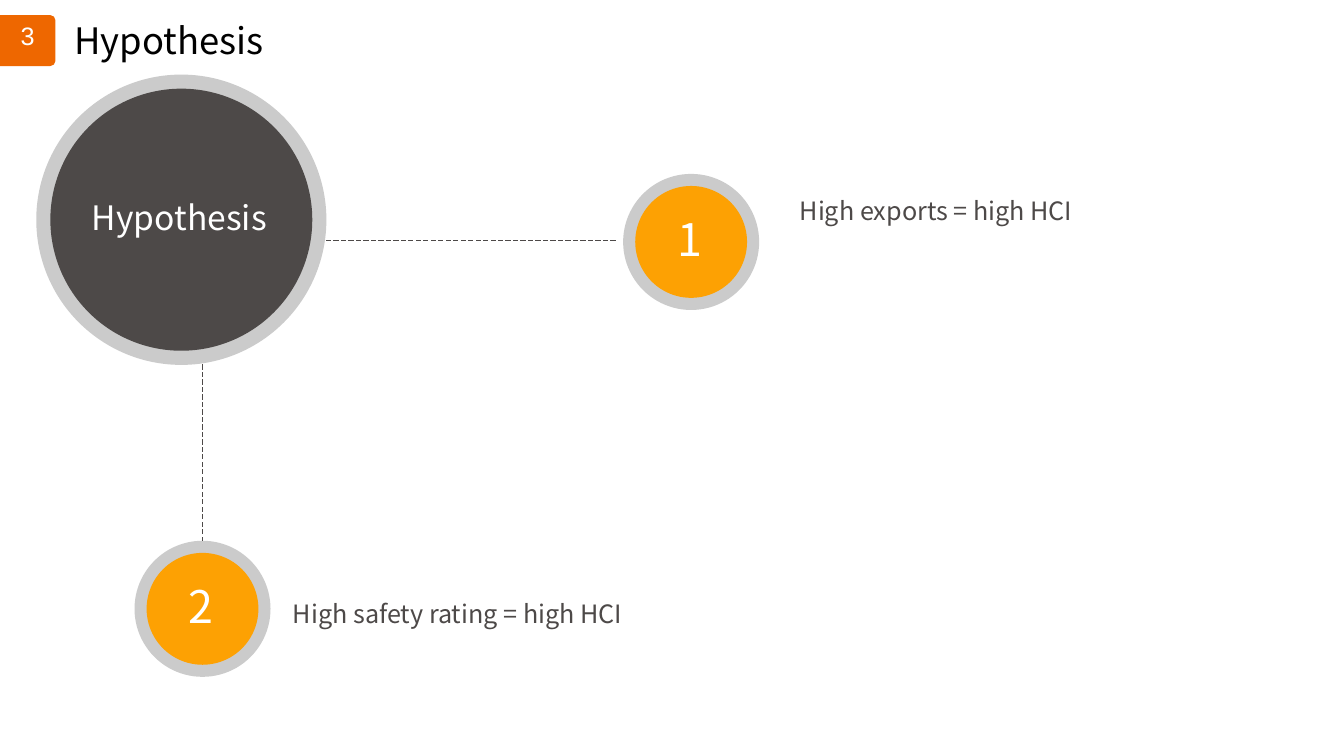
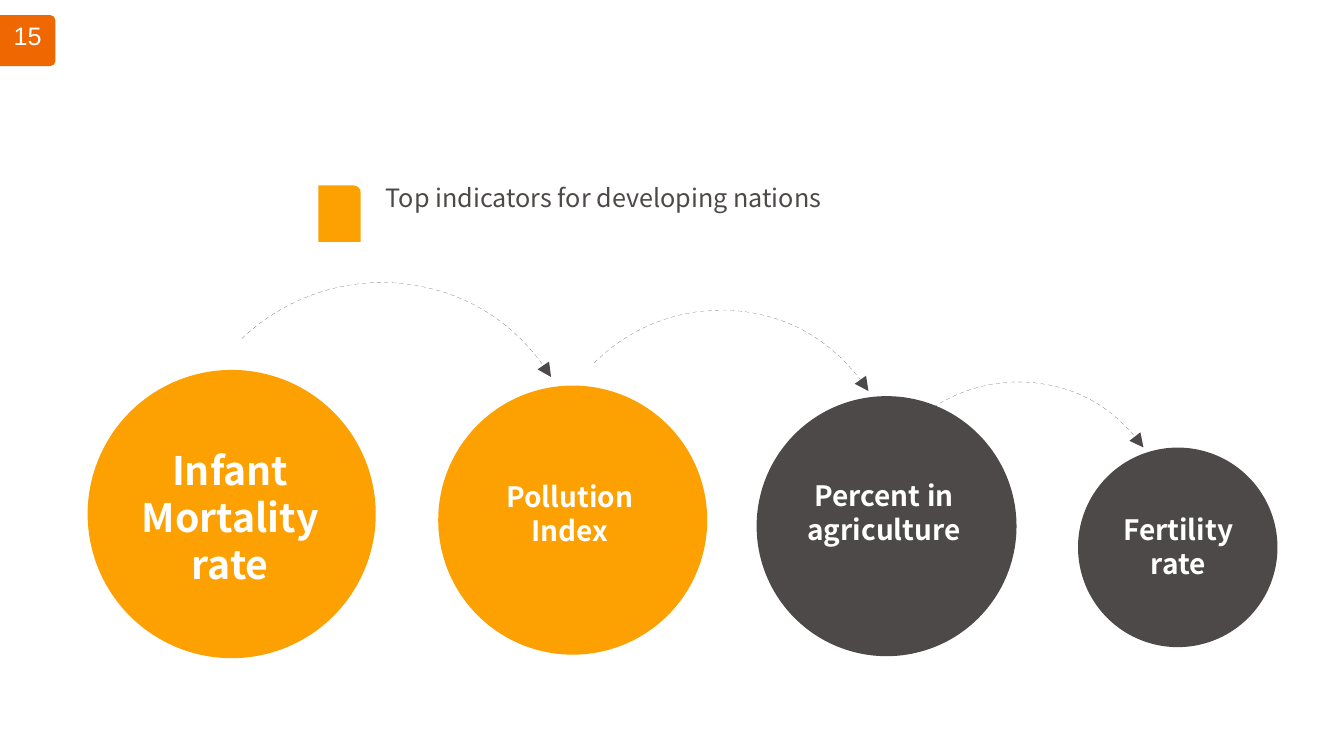
import pptx
import pptx.dml.color
import pptx.enum.dml
import pptx.enum.shapes
import pptx.enum.text
import pptx.oxml.ns
import pptx.util
from lxml import etree

RGBColor = pptx.dml.color.RGBColor
PP_ALIGN = pptx.enum.text.PP_ALIGN
qn = pptx.oxml.ns.qn

WHITE = RGBColor(0xFF, 0xFF, 0xFF)
BLACK = RGBColor(0x00, 0x00, 0x00)
CHARCOAL = RGBColor(0x4D, 0x49, 0x48)
SILVER = RGBColor(0xCB, 0xCB, 0xCB)
AMBER = RGBColor(0xFD, 0xA1, 0x03)
ORANGE = RGBColor(0xEE, 0x67, 0x00)

FONT = "Noto Sans CJK SC"
NUMBER_FONT = "Arial"

# The slide is a grid of square cells; every length below counts cells.
CELL = pptx.util.Inches(0.1)
COLUMNS, ROWS = 133.4, 75


def cells(n):
    return pptx.util.Emu(round(n * CELL))


def write(tf, lines, size, color, align=PP_ALIGN.LEFT, bold=False, font=FONT):
    tf.vertical_anchor = pptx.enum.text.MSO_ANCHOR.TOP
    for i, line in enumerate(lines):
        p = tf.paragraphs[0] if i == 0 else tf.add_paragraph()
        p.text = line
        p.alignment = align
        p.font.name = font
        p.font.size = pptx.util.Pt(size)
        p.font.bold = bold
        p.font.color.rgb = color


def add_text(s, left, top, width, height, lines, size, color, wrap=True, **style):
    sp = s.shapes.add_textbox(*map(cells, (left, top, width, height)))
    tf = sp.text_frame
    tf.word_wrap = wrap
    tf.auto_size = pptx.enum.text.MSO_AUTO_SIZE.SHAPE_TO_FIT_TEXT
    write(tf, lines, size, color, **style)


def add_label(s, cx, top, width, height, lines, size, bold=False):
    """White text centred on the column cx."""
    add_text(s, cx - width / 2, top, width, height, lines, size, WHITE,
             align=PP_ALIGN.CENTER, bold=bold)


def paint(sp, color):
    sp.shadow.inherit = False
    sp.fill.solid()
    sp.fill.fore_color.rgb = color
    sp.line.fill.background()


def add_circle(s, cx, cy, diameter, color):
    sp = s.shapes.add_shape(
        pptx.enum.shapes.MSO_SHAPE.OVAL, cells(cx - diameter / 2),
        cells(cy - diameter / 2), cells(diameter), cells(diameter))
    paint(sp, color)
    return sp


def add_outline(s, start, segments, close):
    """Draw segments of one point (a line) or three points (a Bezier curve)."""
    fb = s.shapes.build_freeform(*map(cells, start))
    fb.add_line_segments(
        [tuple(map(cells, point)) for seg in segments for point in seg], close=close)
    sp = fb.convert_to_shape()
    steps = iter(list(sp._element.iter(qn("a:lnTo"))))
    for seg in segments:
        lines = [next(steps) for _ in seg]
        if len(seg) == 3:
            bezier = etree.Element(qn("a:cubicBezTo"))
            lines[0].addprevious(bezier)
            for line in lines:
                bezier.append(line[0])
                line.getparent().remove(line)
    return sp


def add_tab(s, left, top, right, bottom, radius, color, round_bottom):
    """Block rounded on its upper right corner, and on the lower one if asked."""
    k = radius * 0.45
    segments = [
        [(right - radius, top)],
        [(right - k, top), (right, top + k), (right, top + radius)],
    ]
    if round_bottom:
        segments += [
            [(right, bottom - radius)],
            [(right, bottom - k), (right - k, bottom), (right - radius, bottom)],
        ]
    else:
        segments.append([(right, bottom)])
    segments.append([(left, bottom)])
    sp = add_outline(s, (left, top), segments, True)
    paint(sp, color)
    return sp


def dash(sp, arrow=False):
    """Hairline dashes, with an arrowhead at the end if asked."""
    sp.line.color.rgb = CHARCOAL
    sp.line.dash_style = pptx.enum.dml.MSO_LINE.DASH
    ln = sp._element.spPr.find(qn("a:ln"))
    ln.set("w", "0")
    if arrow:
        etree.SubElement(ln, qn("a:tailEnd"), type="triangle", w="lg", len="lg")


def add_dashed_line(s, x1, y1, x2, y2):
    line = s.shapes.add_connector(
        pptx.enum.shapes.MSO_CONNECTOR.STRAIGHT, *map(cells, (x1, y1, x2, y2)))
    dash(line)
    etree.SubElement(line._element.spPr, qn("a:effectLst"))
    return line


def add_arc_arrow(s, start, *curves):
    sp = add_outline(s, start, curves, False)
    sp.shadow.inherit = False
    sp.fill.background()
    dash(sp, arrow=True)


def add_slide(prs, number, title=None):
    s = prs.slides.add_slide(prs.slide_layouts[6])
    if title:
        add_text(s, 6.4, 1.3, 20.9, 5.4, [title], 26, BLACK, wrap=False)
    badge = add_tab(s, 0, 1.5, 5.5, 6.55, 0.5, ORANGE, True)
    write(badge.text_frame, [str(number)], 18, WHITE,
          align=PP_ALIGN.CENTER, font=NUMBER_FONT)
    return s


def add_numbered_disc(s, cx, cy, number):
    ring = add_circle(s, cx, cy, 13.5, SILVER)
    add_circle(s, cx, cy, 11.1, AMBER)
    add_label(s, cx - 0.15, cy - 3.45, 9.5, 6.4, [str(number)], 32)
    return ring


def hypothesis_slide(prs):
    s = add_slide(prs, 3, "Hypothesis")
    add_circle(s, 18, 21.8, 28.8, SILVER)
    add_circle(s, 18, 21.8, 26, CHARCOAL)
    add_label(s, 17.8, 19, 20, 5, ["Hypothesis"], 24)

    add_dashed_line(s, 32.4, 23.9, 61.2, 23.9)
    add_numbered_disc(s, 68.6, 24, 1)
    add_text(s, 78.4, 18.9, 43.3, 4, ["High exports = high HCI"], 18, CHARCOAL)

    second = add_numbered_disc(s, 20.1, 60.4, 2)
    line = add_dashed_line(s, 20.1, 36.2, 20.1, 53.65)
    line.end_connect(second, 0)
    add_text(s, 28.1, 58.9, 67, 4, ["High safety rating = high HCI"], 18,
             CHARCOAL)


def indicators_slide(prs):
    s = add_slide(prs, 15)

    # centre, diameter, colour
    circles = [
        (23, 51, 28.6, AMBER),
        (56.85, 51.6, 26.7, AMBER),
        (88, 52.2, 25.8, CHARCOAL),
        (116.9, 54.3, 19.8, CHARCOAL),
    ]
    for circle in circles:
        add_circle(s, *circle)

    arcs = [
        ((24, 33.6), ((28, 29.8), (33.6, 27.6), (39.6, 28.1)),
         ((46, 28.7), (51.5, 32.3), (54.7, 37.4))),
        ((59, 36), ((62.5, 32.5), (67.4, 30.5), (72.7, 30.8)),
         ((78.4, 31.2), (83.3, 34.4), (86.2, 38.8))),
        ((89.8, 42.8), ((92.7, 39.7), (96.9, 37.8), (101.5, 37.9)),
         ((106.5, 38.1), (110.8, 40.6), (113.5, 44.4))),
    ]
    for arc in arcs:
        add_arc_arrow(s, *arc)

    add_text(s, 37.3, 17.6, 63.4, 4, ["Top indicators for developing nations"],
             18, CHARCOAL)
    add_tab(s, 31.6, 18.4, 35.8, 24, 0.7, AMBER, False)

    # centre, top, width, height, lines, size
    labels = [
        (56.55, 47.1, 17.9, 7.7, ["Pollution Index"], 20),
        (22.85, 43.8, 21.7, 15, ["Infant Mortality rate"], 28),
        (87.75, 47, 17.9, 7.7, ["Percent in agriculture"], 20),
        (116.95, 50.4, 17.9, 7.7, ["Fertility", "rate"], 20),
    ]
    for label in labels:
        add_label(s, *label, bold=True)


def main():
    prs = pptx.Presentation()
    prs.slide_width, prs.slide_height = cells(COLUMNS), cells(ROWS)
    hypothesis_slide(prs)
    indicators_slide(prs)
    prs.save("out.pptx")


if __name__ == "__main__":
    main()
